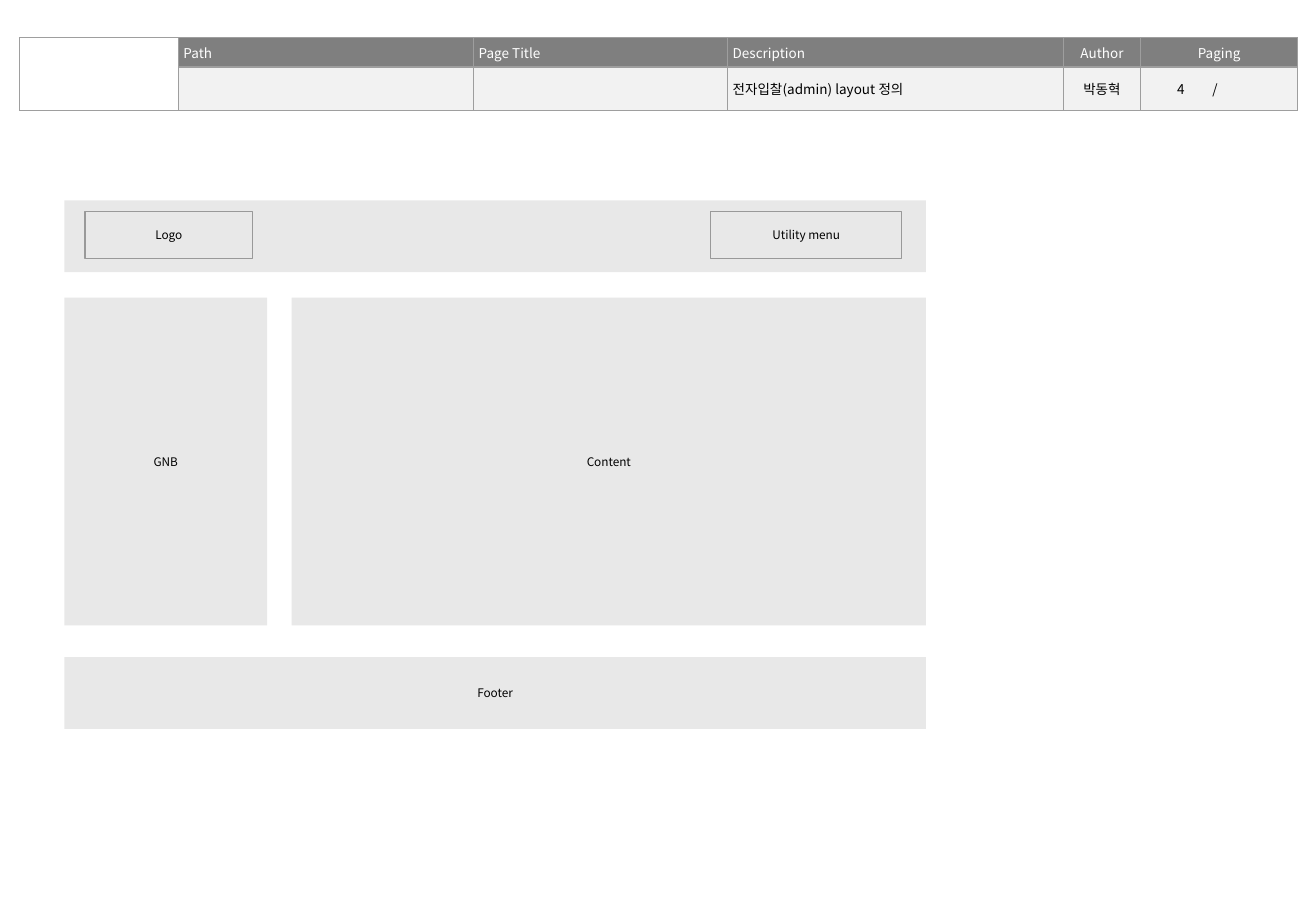
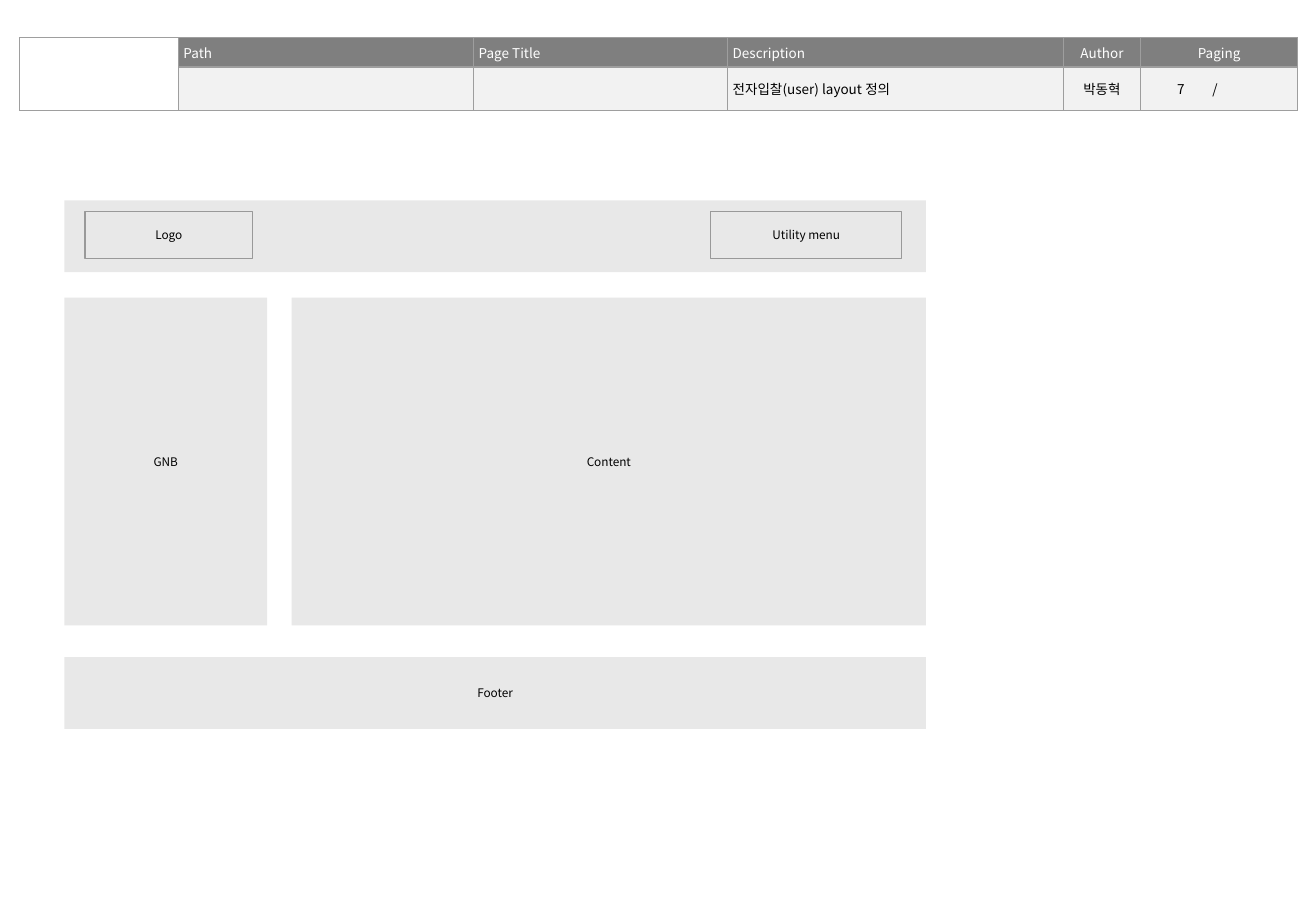
import lxml.etree
import pptx
import pptx.dml.color
import pptx.enum.shapes
import pptx.enum.text
import pptx.oxml.ns
import pptx.util

Inches = pptx.util.Inches
Pt = pptx.util.Pt
ALIGN = pptx.enum.text.PP_ALIGN
qn = pptx.oxml.ns.qn

FONT = "Noto Sans CJK KR"
COLORS = {
    "header": "7F7F7F",
    "value": "F2F2F2",
    "border": "9E9E9E",
    "block": "E8E8E8",
    "outline": "999999",
    "text": "000000",
    "header_text": "FFFFFF",
}
TABLE_TEXT_SIZE = 8
BLOCK_TEXT_SIZE = 7
LINE_WIDTH = Pt(0.75)

COLUMN_WIDTHS = [1.31, 2.43, 2.09, 2.76, 0.64, 0.4, 0.42, 0.47]
ROW_HEIGHTS = [0.24, 0.36]
COLUMN_ALIGNMENTS = [ALIGN.LEFT] * 4 + [ALIGN.CENTER, ALIGN.RIGHT] + [ALIGN.CENTER] * 2
HEADINGS = ["", "Path", "Page Title", "Description", "Author", "Paging", "", ""]
AUTHOR = "박동혁"
PAGING_COLUMN = 5
SLASH_COLUMN = 6
LAST_COLUMN = len(COLUMN_WIDTHS) - 1

PAGES = [
    ("전자입찰(admin) layout 정의", "4"),
    ("전자입찰(user) layout 정의", "7"),
]

FRAME_LEFT = 0.53
FRAME_WIDTH = 7.09
BAND_HEIGHT = 0.59
BODY_TOP = 2.45
BODY_HEIGHT = 2.7
MENU_WIDTH = 1.67
BODY_GAP = 0.2


def color(name):
    return pptx.dml.color.RGBColor.from_string(COLORS[name])


def write_text(text_frame, text, size, color_name, alignment):
    paragraph = text_frame.paragraphs[0]
    paragraph.alignment = alignment
    run = paragraph.add_run()
    run.text = text
    run.font.size = Pt(size)
    run.font.color.rgb = color(color_name)
    run.font.name = FONT
    lxml.etree.SubElement(run.font._element, qn("a:ea"), typeface=FONT)


def set_borders(cell, hidden_sides):
    """Draw the four borders of a cell, leaving out the sides (L, R, T, B) that are hidden."""
    properties = cell._tc.get_or_add_tcPr()
    for side in "LRTB":
        line = lxml.etree.SubElement(properties, qn("a:ln" + side), w=str(LINE_WIDTH))
        if side in hidden_sides:
            lxml.etree.SubElement(line, qn("a:noFill"))
        else:
            fill = lxml.etree.SubElement(line, qn("a:solidFill"))
            lxml.etree.SubElement(fill, qn("a:srgbClr"), val=COLORS["border"])


def hidden_sides(row, column):
    """The page number, slash and total share one frame without inner borders."""
    sides = ""
    if row == 1 and column > PAGING_COLUMN:
        sides += "L"
    if row == 1 and PAGING_COLUMN <= column < LAST_COLUMN:
        sides += "R"
    return sides


def format_cell(cell, row, column, text):
    side_margin = 0.02 if (row, column) == (1, SLASH_COLUMN) else 0.04
    cell.margin_left = cell.margin_right = Inches(side_margin)
    cell.margin_top = cell.margin_bottom = Inches(0.04)
    cell.vertical_anchor = pptx.enum.text.MSO_ANCHOR.MIDDLE
    set_borders(cell, hidden_sides(row, column))
    if column == 0:
        cell.fill.background()
    else:
        cell.fill.solid()
        cell.fill.fore_color.rgb = color("value" if row else "header")
    if text:
        centered = row == 0 and column == PAGING_COLUMN
        alignment = ALIGN.CENTER if centered else COLUMN_ALIGNMENTS[column]
        write_text(cell.text_frame, text, TABLE_TEXT_SIZE,
                   "text" if row else "header_text", alignment)
    else:
        paragraph = cell.text_frame.paragraphs[0]
        lxml.etree.SubElement(paragraph._p, qn("a:endParaRPr"), sz=str(TABLE_TEXT_SIZE * 100))


def add_page_header(slide, description, page_number):
    rows = [HEADINGS, ["", "", "", description, AUTHOR, page_number, "/", ""]]
    table = slide.shapes.add_table(
        len(rows), len(COLUMN_WIDTHS), Inches(0.16), Inches(0.31),
        Inches(sum(COLUMN_WIDTHS)), Inches(sum(ROW_HEIGHTS))).table
    table.first_row = False
    table.horz_banding = False
    for column, width in zip(table.columns, COLUMN_WIDTHS):
        column.width = Inches(width)
    for row, height in zip(table.rows, ROW_HEIGHTS):
        row.height = Inches(height)
    table.cell(0, 0).merge(table.cell(1, 0))
    table.cell(0, PAGING_COLUMN).merge(table.cell(0, LAST_COLUMN))
    for row, texts in enumerate(rows):
        for column, text in enumerate(texts):
            format_cell(table.cell(row, column), row, column, text)


def add_box(slide, left, top, width, height, text="", outlined=False):
    """Add a filled layout block, or an outlined box without fill."""
    shape = slide.shapes.add_shape(
        pptx.enum.shapes.MSO_SHAPE.RECTANGLE,
        Inches(left), Inches(top), Inches(width), Inches(height))
    shape.shadow.inherit = False
    if outlined:
        shape.fill.background()
        shape.line.color.rgb = color("outline")
        shape.line.width = LINE_WIDTH
    else:
        shape.fill.solid()
        shape.fill.fore_color.rgb = color("block")
        shape.line.fill.background()
    if text:
        frame = shape.text_frame
        frame.word_wrap = True
        frame.vertical_anchor = pptx.enum.text.MSO_ANCHOR.MIDDLE
        frame.margin_left = frame.margin_right = Inches(0.1)
        frame.margin_top = frame.margin_bottom = Inches(0.1)
        write_text(frame, text, BLOCK_TEXT_SIZE, "text", ALIGN.CENTER)


def add_wireframe(slide):
    add_box(slide, FRAME_LEFT, 1.65, FRAME_WIDTH, BAND_HEIGHT)
    add_box(slide, 0.7, 1.74, 1.38, 0.39, "Logo", outlined=True)
    add_box(slide, 5.85, 1.74, 1.57, 0.39, "Utility menu", outlined=True)
    add_box(slide, FRAME_LEFT, BODY_TOP, MENU_WIDTH, BODY_HEIGHT, "GNB")
    content_offset = MENU_WIDTH + BODY_GAP
    add_box(slide, FRAME_LEFT + content_offset, BODY_TOP,
            FRAME_WIDTH - content_offset, BODY_HEIGHT, "Content")
    add_box(slide, FRAME_LEFT, 5.41, FRAME_WIDTH, BAND_HEIGHT, "Footer")


def main():
    presentation = pptx.Presentation()
    presentation.slide_width = Inches(10.83)
    presentation.slide_height = Inches(7.5)
    for description, page_number in PAGES:
        slide = presentation.slides.add_slide(presentation.slide_layouts[6])
        add_page_header(slide, description, page_number)
        add_wireframe(slide)
    presentation.save("out.pptx")


if __name__ == "__main__":
    main()
